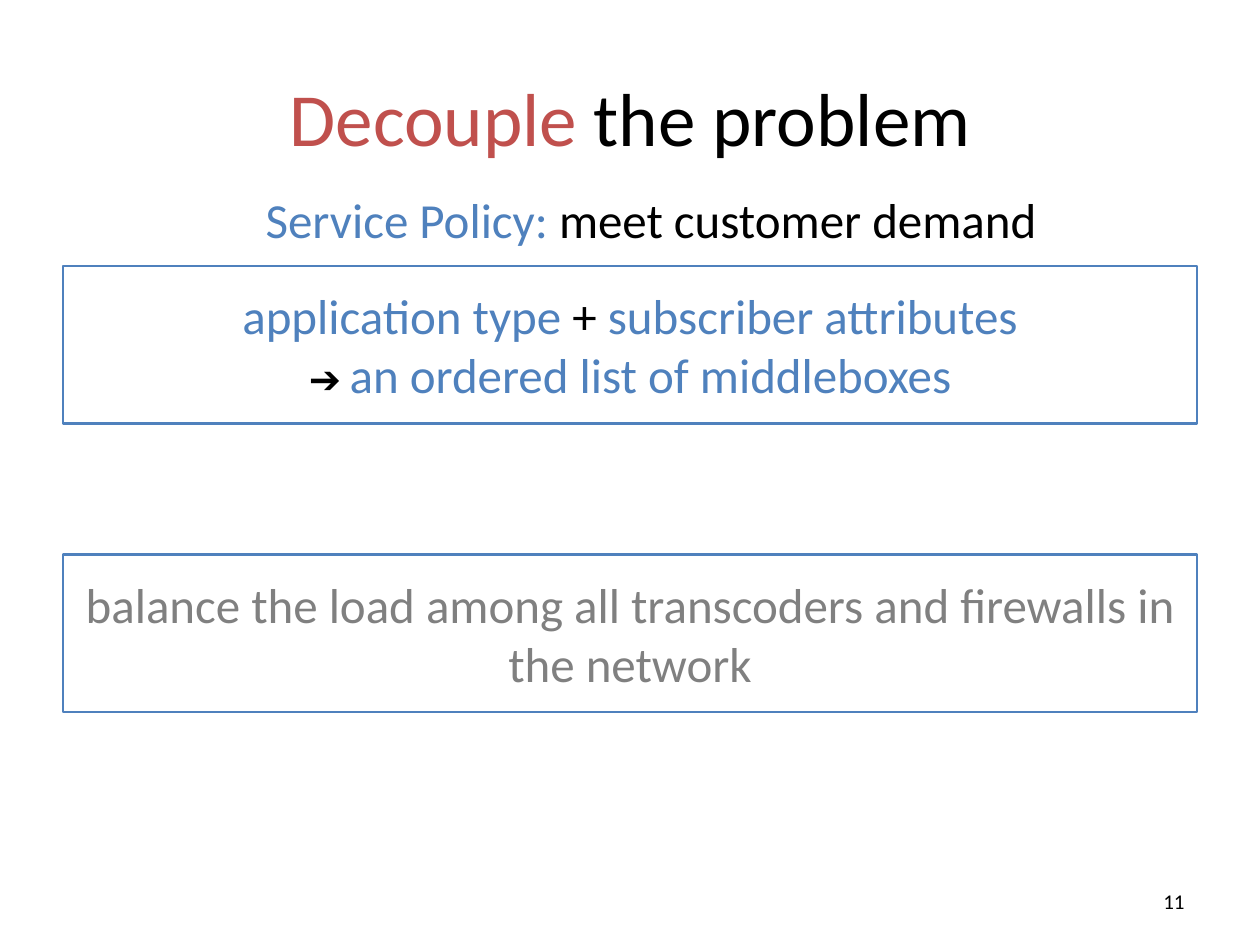
from dataclasses import dataclass

from pptx import Presentation
from pptx.dml.color import RGBColor
from pptx.enum.shapes import MSO_SHAPE
from pptx.enum.text import MSO_ANCHOR, MSO_AUTO_SIZE, PP_ALIGN
from pptx.util import Inches, Pt

RECTANGLE = MSO_SHAPE.RECTANGLE
MIDDLE = MSO_ANCHOR.MIDDLE
NO_AUTOFIT = MSO_AUTO_SIZE.NONE
CENTER, RIGHT = PP_ALIGN.CENTER, PP_ALIGN.RIGHT
TITLE_ONLY = 5
WIDTH, HEIGHT = 10, 7.5
COLUMNS, ROWS = 60, 75


@dataclass(frozen=True)
class Theme:
    font: str = "Calibri"
    blue: str = "4F81BD"
    red: str = "C0504D"
    gray: str = "808080"
    black: str = "000000"
    title: float = 42.9
    body: float = 28
    arrow: float = 22
    number: float = 12
    border: float = 1.5


class SlideBuilder:
    def __init__(self, deck, theme):
        self.theme = theme
        self.slide = deck.slides.add_slide(deck.slide_layouts[TITLE_ONLY])

    def area(self, column, row, columns, rows):
        return (Inches(column * WIDTH / COLUMNS), Inches(row * HEIGHT / ROWS),
                Inches(columns * WIDTH / COLUMNS), Inches(rows * HEIGHT / ROWS))

    def set_text(self, shape, lines, size, align=CENTER):
        frame = shape.text_frame
        settings = {"word_wrap": True, "auto_size": NO_AUTOFIT, "vertical_anchor": MIDDLE}
        for name, value in settings.items():
            setattr(frame, name, value)
        paragraph = frame.paragraphs[0]
        paragraph.alignment = align
        for index, line in enumerate(lines):
            if index:
                paragraph.add_line_break()
            for text, color, *own_size in line:
                run = paragraph.add_run()
                run.text = text
                style = {"name": self.theme.font, "size": Pt(own_size[0] if own_size else size)}
                for name, value in style.items():
                    setattr(run.font, name, value)
                run.font.color.rgb = RGBColor.from_string(color)

    def title(self, cells, lines):
        heading = self.slide.shapes.title
        for name, value in zip(("left", "top", "width", "height"), self.area(*cells)):
            setattr(heading, name, value)
        self.set_text(heading, lines, self.theme.title)

    def label(self, cells, lines, size, align=CENTER):
        caption = self.slide.shapes.add_textbox(*self.area(*cells))
        self.set_text(caption, lines, size, align)

    def box(self, cells, lines):
        panel = self.slide.shapes.add_shape(RECTANGLE, *self.area(*cells))
        panel.shadow.inherit = False
        panel.fill.background()
        panel.line.color.rgb = RGBColor.from_string(self.theme.blue)
        panel.line.width = Pt(self.theme.border)
        self.set_text(panel, lines, self.theme.body)


def main():
    deck = Presentation()
    deck.slide_width, deck.slide_height = Inches(WIDTH), Inches(HEIGHT)
    theme = Theme()
    page = SlideBuilder(deck, theme)
    margin, band = 3, 12.5
    full = COLUMNS - 2 * margin

    page.title((margin, 3, full, band),
               [[("Decouple", theme.red), (" the problem", theme.black)]])
    page.label((margin + 1, 11.1, full, band),
               [[("Service Policy: ", theme.blue), ("meet customer demand", theme.black)]],
               theme.body)
    policy = [
        [("application type", theme.blue), (" + ", theme.black),
         ("subscriber attributes", theme.blue)],
        [("➔ ", theme.black, theme.arrow), ("an ordered list of middleboxes", theme.blue)],
    ]
    balance = [[("balance the load among all transcoders and firewalls in the network",
                 theme.gray)]]
    for row, lines in ((21.1, policy), (44, balance)):
        page.box((margin, row, full, band), lines)
    page.label((43, 69.5, 14, 4), [[("11", theme.black)]], theme.number, RIGHT)

    deck.save("out.pptx")


if __name__ == "__main__":
    main()
